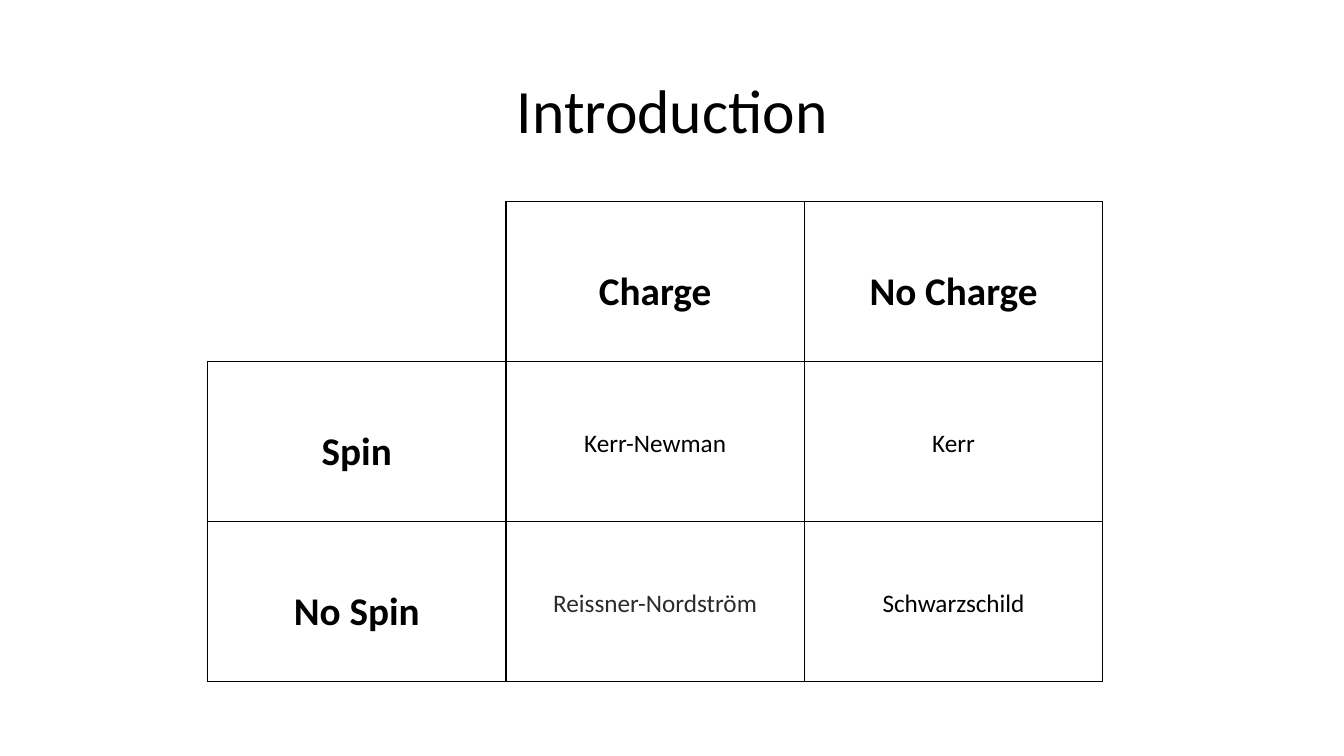
from dataclasses import dataclass

from lxml import etree
from pptx import Presentation
from pptx import util as u
from pptx.dml.color import RGBColor
from pptx.enum import text
from pptx.oxml import ns


@dataclass(frozen=True)
class Theme:
    font: str = "Calibri"
    ink: str = "000000"
    soft: str = "2B2B2B"
    title: int = 44
    head: int = 28
    body: int = 18
    rule: int = 1


class Deck:
    def __init__(self, theme):
        self.theme = theme
        self.file = Presentation()
        self.file.slide_width = u.Cm(33.87)
        self.file.slide_height = u.Cm(19.05)
        self.slide = self.file.slides.add_slide(self.file.slide_layouts[6])

    def label(self, frame, words, size, color, bold=False):
        para = frame.paragraphs[0]
        para.alignment = text.PP_ALIGN.CENTER
        run = para.add_run()
        run.text = words
        font = run.font
        font.name, font.size, font.bold = self.theme.font, u.Pt(size), bold
        font.color.rgb = RGBColor.from_string(color)
        return para

    def title(self, words, left, top, width, height):
        box = self.slide.shapes.add_textbox(
            u.Cm(left), u.Cm(top), u.Cm(width), u.Cm(height))
        frame = box.text_frame
        frame.word_wrap = True
        frame.vertical_anchor = text.MSO_ANCHOR.MIDDLE
        para = self.label(frame, words, self.theme.title, self.theme.ink)
        para.line_spacing = 0.9

    def border(self, cell, sides):
        """Rule the given sides of a cell and clear the others."""
        props = cell._tc.get_or_add_tcPr()
        for side in "LRTB":
            line = etree.SubElement(props, ns.qn(f"a:ln{side}"),
                                    w=str(u.Pt(self.theme.rule)))
            if side in sides:
                fill = etree.SubElement(line, ns.qn("a:solidFill"))
                etree.SubElement(fill, ns.qn("a:srgbClr"), val=self.theme.ink)
            else:
                etree.SubElement(line, ns.qn("a:noFill"))

    def table(self, rows, left, top, wide, high, drop):
        """Draw equal cells whose text starts at the depth drop."""
        count = len(rows[0])
        grid = self.slide.shapes.add_table(
            len(rows), count, u.Cm(left), u.Cm(top),
            u.Cm(wide * count), u.Cm(high * len(rows))).table
        grid.first_row = grid.horz_banding = False
        for col in grid.columns:
            col.width = u.Cm(wide)
        for r, row in enumerate(rows):
            grid.rows[r].height = u.Cm(high)
            for c, (words, color) in enumerate(row):
                cell = grid.cell(r, c)
                self.border(cell, "LRTB" if words else "RB")
                cell.fill.background()
                if words:
                    cell.margin_top = u.Cm(drop)
                    head = r == 0 or c == 0
                    size = self.theme.head if head else self.theme.body
                    self.label(cell.text_frame, words, size, color, head)


def main():
    theme = Theme()
    ink, soft = theme.ink, theme.soft
    deck = Deck(theme)
    deck.title("Introduction", 2.34, 1.02, 29.21, 3.68)
    holes = [
        [("", ink), ("Charge", ink), ("No Charge", ink)],
        [("Spin", ink), ("Kerr-Newman", ink), ("Kerr", ink)],
        [("No Spin", ink), ("Reissner-Nordström", soft),
         ("Schwarzschild", ink)],
    ]
    deck.table(holes, left=5.23, top=5.08, wide=7.52, high=4.03, drop=1.68)
    deck.file.save("out.pptx")


if __name__ == "__main__":
    main()
